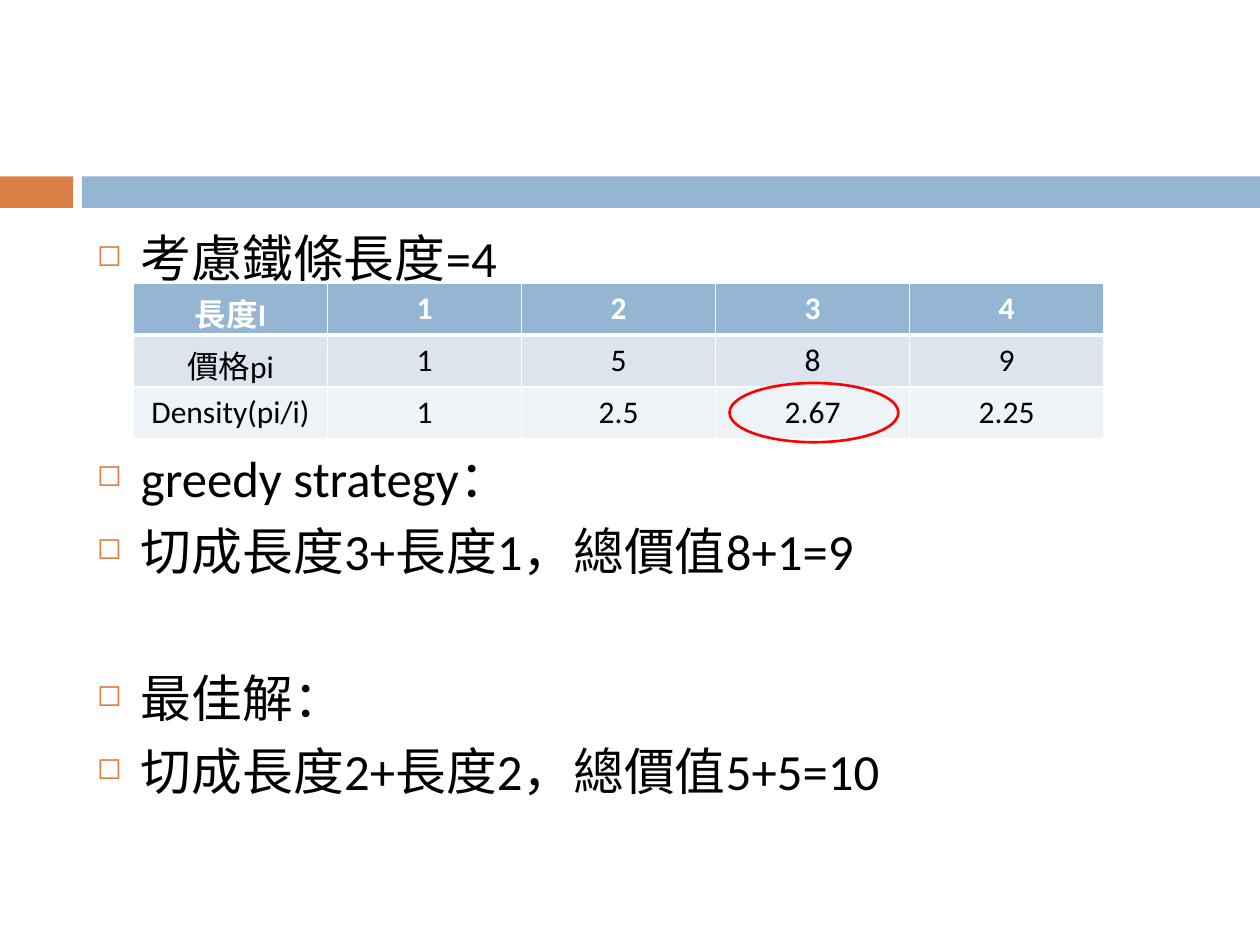
"""Build a slide on the greedy strategy for cutting an iron rod of length 4."""
from dataclasses import dataclass

from lxml import etree
from pptx import Presentation
from pptx.dml.color import RGBColor
from pptx.enum.shapes import MSO_SHAPE
from pptx.enum.text import PP_ALIGN
from pptx.oxml.ns import qn
from pptx.util import Inches, Pt

RECTANGLE, OVAL = MSO_SHAPE.RECTANGLE, MSO_SHAPE.OVAL
CENTER = PP_ALIGN.CENTER


@dataclass(frozen=True)
class Theme:
    font: str = "Calibri"
    orange: str = "DD8047"
    blue: str = "94B6D2"
    odd_row: str = "DCE5EE"
    even_row: str = "EEF3F7"
    white: str = "FFFFFF"
    black: str = "000000"
    red: str = "FF0000"
    body_size: int = 29
    table_size: int = 18


theme = Theme()


def write(paragraph, text, size, color=theme.black, bold=False, align=None, before=0, bullet=None):
    props = paragraph._p.get_or_add_pPr()
    if bullet:
        props.set("marL", str(Inches(0.35)))
        props.set("indent", str(Inches(-0.35)))
        bullet_color = etree.SubElement(props, qn("a:buClr"))
        etree.SubElement(bullet_color, qn("a:srgbClr"), val=theme.orange)
        etree.SubElement(props, qn("a:buSzPct"), val="60000")
        etree.SubElement(props, qn("a:buChar"), char=bullet)
    paragraph.alignment = align
    paragraph.space_before = Pt(before)
    run = paragraph.add_run()
    run.text = text
    run.font.name = theme.font
    run.font.size = Pt(size)
    run.font.bold = bold
    run.font.color.rgb = RGBColor.from_string(color)


def add_border(cell, side, width):
    props = cell._tc.get_or_add_tcPr()
    line = etree.SubElement(props, qn(f"a:{side}"), w=str(Pt(width)))
    fill = etree.SubElement(line, qn("a:solidFill"))
    etree.SubElement(fill, qn("a:srgbClr"), val=theme.white)


deck = Presentation()
deck.slide_width, deck.slide_height = Inches(10), Inches(7.5)
slide = deck.slides.add_slide(deck.slide_layouts[6])

for left, width, color in [(0, 0.58, theme.orange), (0.65, 9.35, theme.blue)]:
    band = slide.shapes.add_shape(RECTANGLE, Inches(left), Inches(1.4), Inches(width), Inches(0.25))
    band.shadow.inherit = False
    band.fill.solid()
    band.fill.fore_color.rgb = RGBColor.from_string(color)
    band.line.fill.background()

steps = slide.shapes.add_textbox(Inches(0.67), Inches(1.75), Inches(8.92), Inches(4.92)).text_frame
steps.word_wrap = True
step_lines = [
    ("考慮鐵條長度=4", 0),
    ("greedy strategy：", 91),
    ("切成長度3+長度1，總價值8+1=9", 7),
    ("最佳解：", 49),
    ("切成長度2+長度2，總價值5+5=10", 7),
]
for index, (text, before) in enumerate(step_lines):
    step = steps.add_paragraph() if index else steps.paragraphs[0]
    write(step, text, theme.body_size, before=before, bullet="◻")

price_rows = [
    ("長度I", "1", "2", "3", "4"),
    ("價格pi", "1", "5", "8", "9"),
    ("Density(pi/i)", "1", "2.5", "2.67", "2.25"),
]
row_fills = [theme.blue, theme.odd_row, theme.even_row]
prices = slide.shapes.add_table(3, 5, Inches(1.06), Inches(2.25), Inches(7.7), Inches(1.23)).table
for column in prices.columns:
    column.width = Inches(1.54)
for row_index, (values, fill) in enumerate(zip(price_rows, row_fills)):
    prices.rows[row_index].height = Inches(0.41)
    header = row_index == 0
    for column_index, value in enumerate(values):
        cell = prices.cell(row_index, column_index)
        write(cell.text_frame.paragraphs[0], value, theme.table_size, bold=header, align=CENTER,
              color=theme.white if header else theme.black)
        for side in ("lnL", "lnR", "lnT", "lnB"):
            thick = (row_index, side) in [(0, "lnB"), (1, "lnT")]
            add_border(cell, side, 3 if thick else 1)
        cell.fill.solid()
        cell.fill.fore_color.rgb = RGBColor.from_string(fill)

best_density = slide.shapes.add_shape(OVAL, Inches(5.79), Inches(3.04), Inches(1.34), Inches(0.47))
best_density.shadow.inherit = False
best_density.fill.background()
best_density.line.color.rgb = RGBColor.from_string(theme.red)
best_density.line.width = Pt(1.5)

deck.save("out.pptx")
